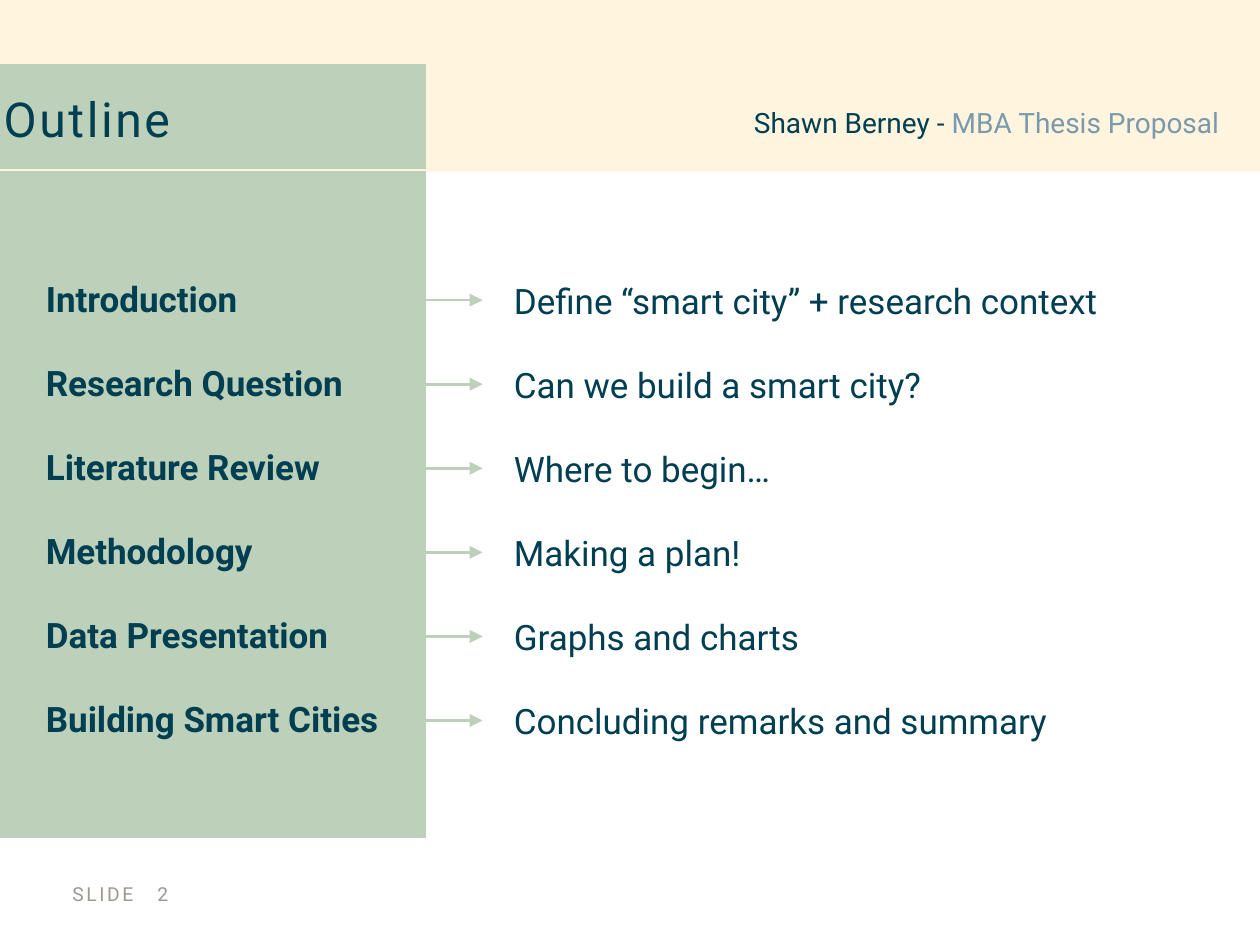
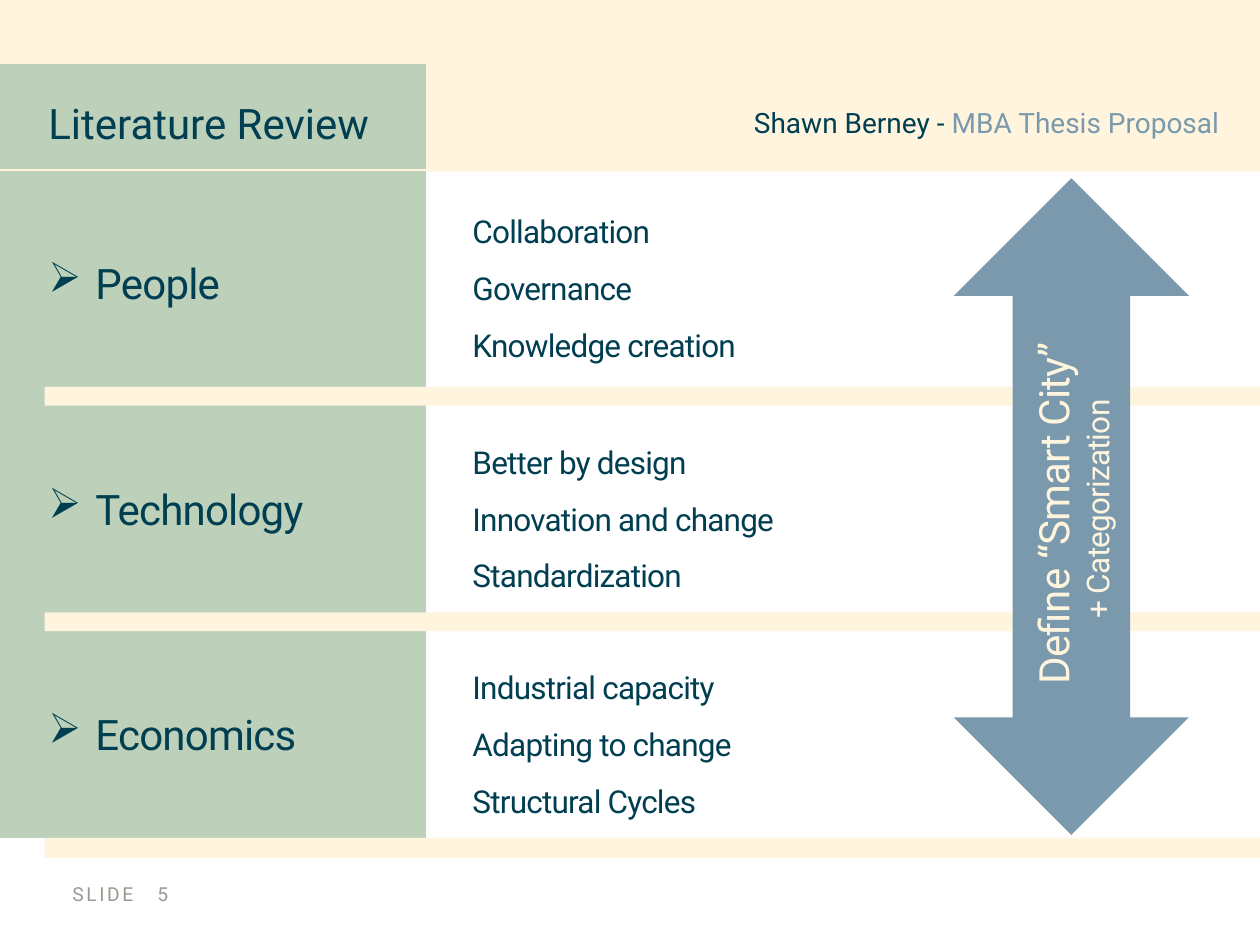
from lxml import etree
from pptx import Presentation
from pptx.dml.color import RGBColor
from pptx.enum.shapes import MSO_CONNECTOR, MSO_SHAPE
from pptx.enum.text import MSO_ANCHOR, MSO_AUTO_SIZE, PP_ALIGN
from pptx.oxml.ns import qn
from pptx.util import Cm, Pt

RECT, UP_DOWN = MSO_SHAPE.RECTANGLE, MSO_SHAPE.UP_DOWN_ARROW
STRAIGHT = MSO_CONNECTOR.STRAIGHT
TOP, MIDDLE = MSO_ANCHOR.TOP, MSO_ANCHOR.MIDDLE
LEFT, CENTER = PP_ALIGN.LEFT, PP_ALIGN.CENTER
GROW = MSO_AUTO_SIZE.SHAPE_TO_FIT_TEXT

FONT = "Roboto"
INK, CREAM, SAGE, STEEL, GRAY = "003E51", "FFF5DE", "BDD1BA", "7A99AC", "9C9790"
WIDTH, HEIGHT = 50.8, 38.1
PANEL_RIGHT = 17.17

OUTLINE = [
    ("Introduction", "Define “smart city” + research context", 10.54),
    ("Research Question", "Can we build a smart city?", 15.39),
    ("Literature Review", "Where to begin…", 14.33),
    ("Methodology", "Making a plan!", 14.33),
    ("Data Presentation", "Graphs and charts", 14.33),
    ("Building Smart Cities", "Concluding remarks and summary", 16.31),
]
OUTLINE_TOP, OUTLINE_STEP = 12.1, 3.39

TOPICS = [
    ("People", ["Collaboration", "Governance", "Knowledge creation"], 7.62, 0.76),
    ("Technology", ["Better by design", "Innovation and change", "Standardization"], 16.92, 0.76),
    ("Economics", ["Industrial capacity", "Adapting to change", "Structural Cycles"], 26.01, 0.81),
]
TOPIC_TOP, BAR_TOP, TOPIC_STEP = 10.24, 15.6, 9.09


def color(value):
    return RGBColor.from_string(value)


def add_block(s, kind, box, fill):
    sp = s.shapes.add_shape(kind, *map(Cm, box))
    sp.shadow.inherit = False
    sp.fill.solid()
    sp.fill.fore_color.rgb = color(fill)
    sp.line.fill.background()


def add_line(s, x1, x2, y, stroke, width, arrow=False):
    line = s.shapes.add_connector(STRAIGHT, Cm(x1), Cm(y), Cm(x2), Cm(y))
    line.line.color.rgb = color(stroke)
    line.line.width = Pt(width)
    spPr = line._element.spPr
    if arrow:
        etree.SubElement(spPr.find(qn("a:ln")), qn("a:tailEnd"),
                         type="triangle", w="lg", len="lg")
    etree.SubElement(spPr, qn("a:effectLst"))


def add_text(s, box, paragraphs, align=LEFT, anchor=MIDDLE, spacing=None,
             before=0, track=0, bold=False, wrap=True, bullet=None):
    sp = s.shapes.add_textbox(*map(Cm, box))
    tf = sp.text_frame
    tf.word_wrap = wrap
    tf.vertical_anchor = anchor
    if anchor == MIDDLE:
        tf.auto_size = GROW
    tf.margin_left = tf.margin_right = tf.margin_top = tf.margin_bottom = Cm(0.15)
    for i, runs in enumerate(paragraphs):
        p = tf.add_paragraph() if i else tf.paragraphs[0]
        p.alignment = align
        if spacing:
            p.line_spacing = spacing
        if i and before:
            p.space_before = Pt(before)
        if bullet:
            pPr = p._p.get_or_add_pPr()
            pPr.set("marL", str(Cm(1.9)))
            pPr.set("indent", str(-Cm(1.9)))
            etree.SubElement(pPr, qn("a:buChar"), char=bullet)
        for text, size, ink in runs:
            r = p.add_run()
            r.text = text
            r.font.name = FONT
            r.font.size = Pt(size)
            r.font.bold = bold
            r.font.color.rgb = color(ink)
            if track:
                r._r.get_or_add_rPr().set("spc", str(round(track * 100)))
    return sp


def add_frame(prs, number):
    s = prs.slides.add_slide(prs.slide_layouts[6])
    add_block(s, RECT, (0, 0, WIDTH, 6.91), CREAM)
    add_text(s, (2.77, 35.43, 4.62, 1.22), [[("SLIDE", 22, GRAY)]], track=3)
    add_text(s, (5.94, 35.43, 1.24, 1.22), [[(str(number), 22, GRAY)]],
             align=CENTER, wrap=False)
    add_text(s, (29.85, 3.68, 19.86, 2.06),
             [[("Shawn Berney - ", 32, INK), ("MBA Thesis Proposal", 32, STEEL)]],
             align=CENTER, spacing=1.3)
    add_block(s, RECT, (-0.05, 2.59, PANEL_RIGHT + 0.05, 31.19), SAGE)
    add_line(s, PANEL_RIGHT, -0.05, 6.86, CREAM, 2)
    return s


def build_outline(prs):
    s = add_frame(prs, 2)
    add_text(s, (1.7, 10.97, 17.17, 19.1),
             [[(section, 40, INK)] for section, _, _ in OUTLINE], before=48, bold=True)
    add_text(s, (0, 3.45, 12.34, 4.29), [[("Outline", 55, INK)]], anchor=TOP, track=3)
    for i, (_, summary, start) in enumerate(OUTLINE):
        y = OUTLINE_TOP + i * OUTLINE_STEP
        add_line(s, start, 19.46, y, SAGE, 3, arrow=True)
        add_text(s, (20.57, y - 1, 27.53, 2), [[(summary, 40, INK)]])


def build_review(prs):
    s = add_frame(prs, 5)
    add_text(s, (1.8, 3.78, 14.83, 2.34), [[("Literature Review", 48, INK)]])
    for i, (topic, points, points_top, bar_height) in enumerate(TOPICS):
        offset = i * TOPIC_STEP
        add_text(s, (1.8, TOPIC_TOP + offset, 14.83, 2.34), [[(topic, 48, INK)]],
                 track=-0.9, bullet="➢")
        add_block(s, RECT, (1.8, BAR_TOP + offset, WIDTH - 1.8, bar_height), CREAM)
        add_text(s, (18.9, points_top, 21.36, 7.21),
                 [[(point, 36, INK)] for point in points], spacing=1.5, track=-0.9)
    add_block(s, UP_DOWN, (38.46, 7.19, 9.47, 26.47), STEEL)
    sp = add_text(s, (32.94, 18.57, 20.52, 3.89),
                  [[("Define “Smart City” ", 48, CREAM)], [("+ Categorization", 36, CREAM)]],
                  align=CENTER, track=-0.9)
    sp.rotation = 270


def main():
    prs = Presentation()
    prs.slide_width, prs.slide_height = Cm(WIDTH), Cm(HEIGHT)
    build_outline(prs)
    build_review(prs)
    prs.save("out.pptx")


if __name__ == "__main__":
    main()
